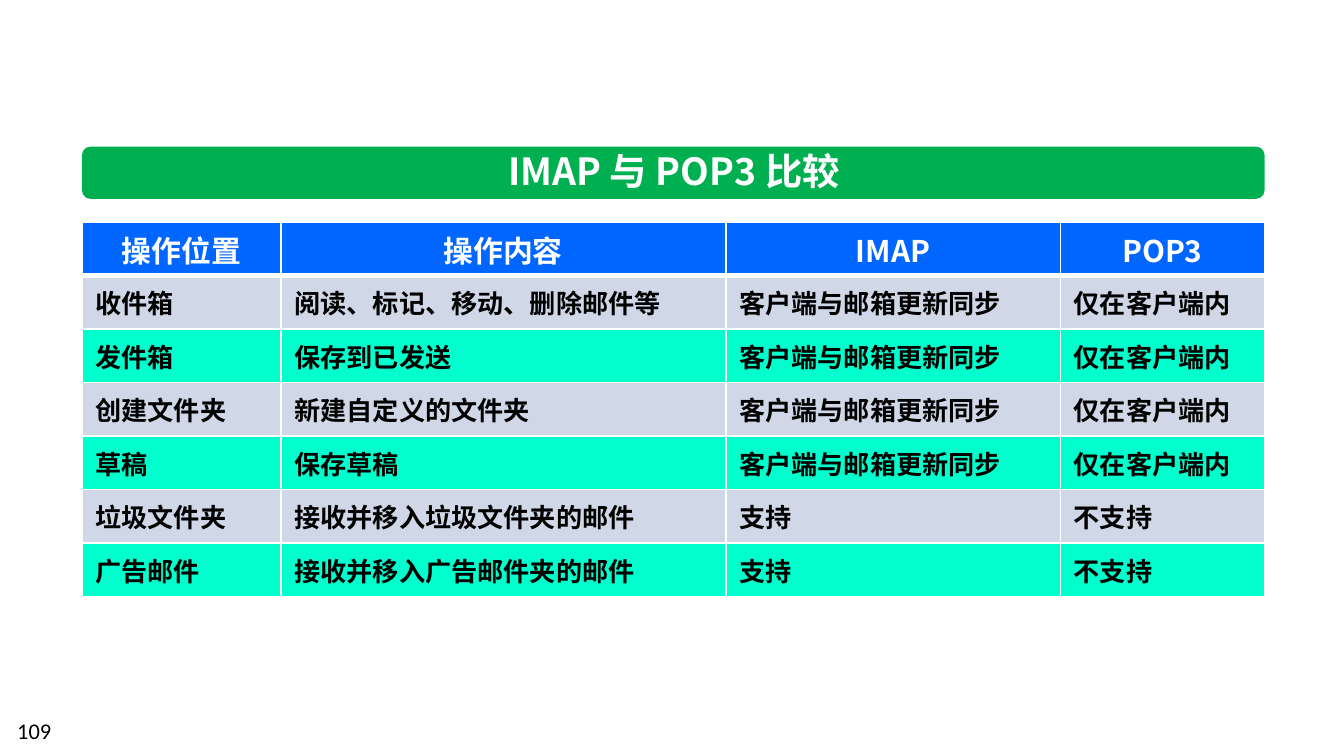
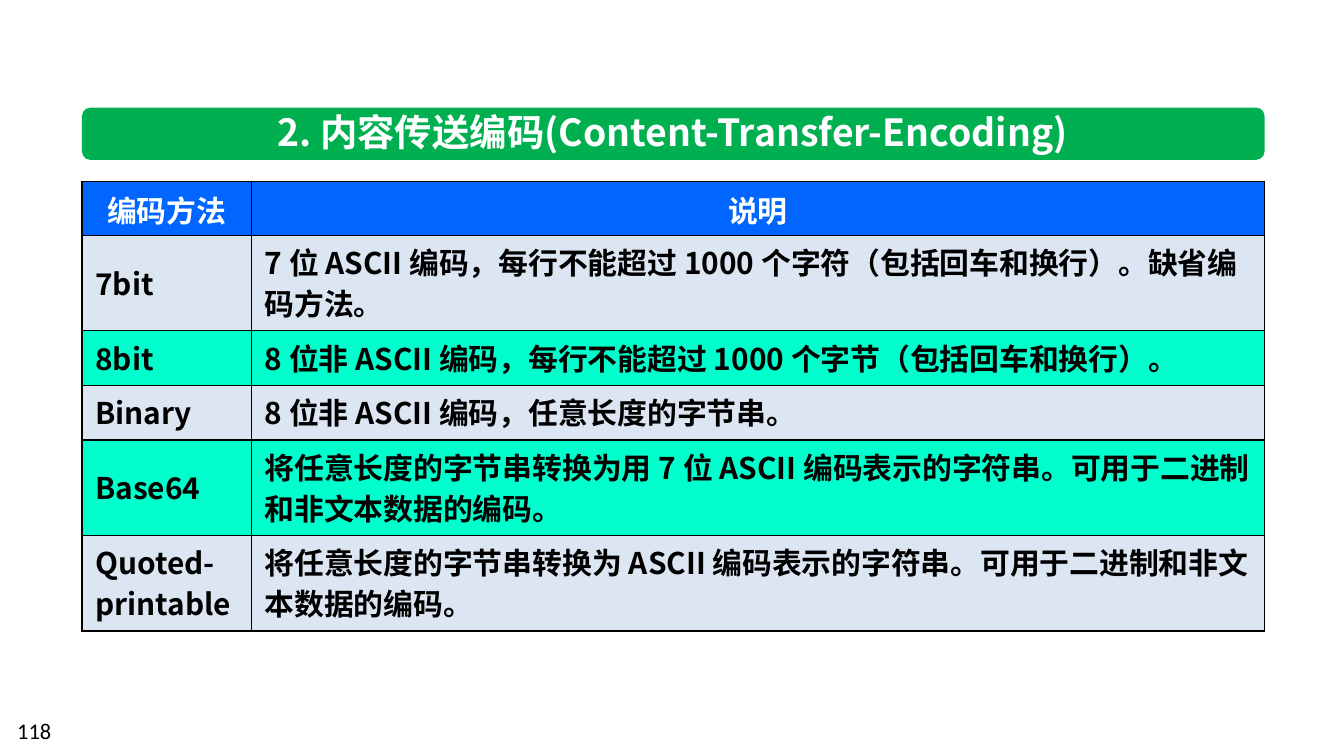
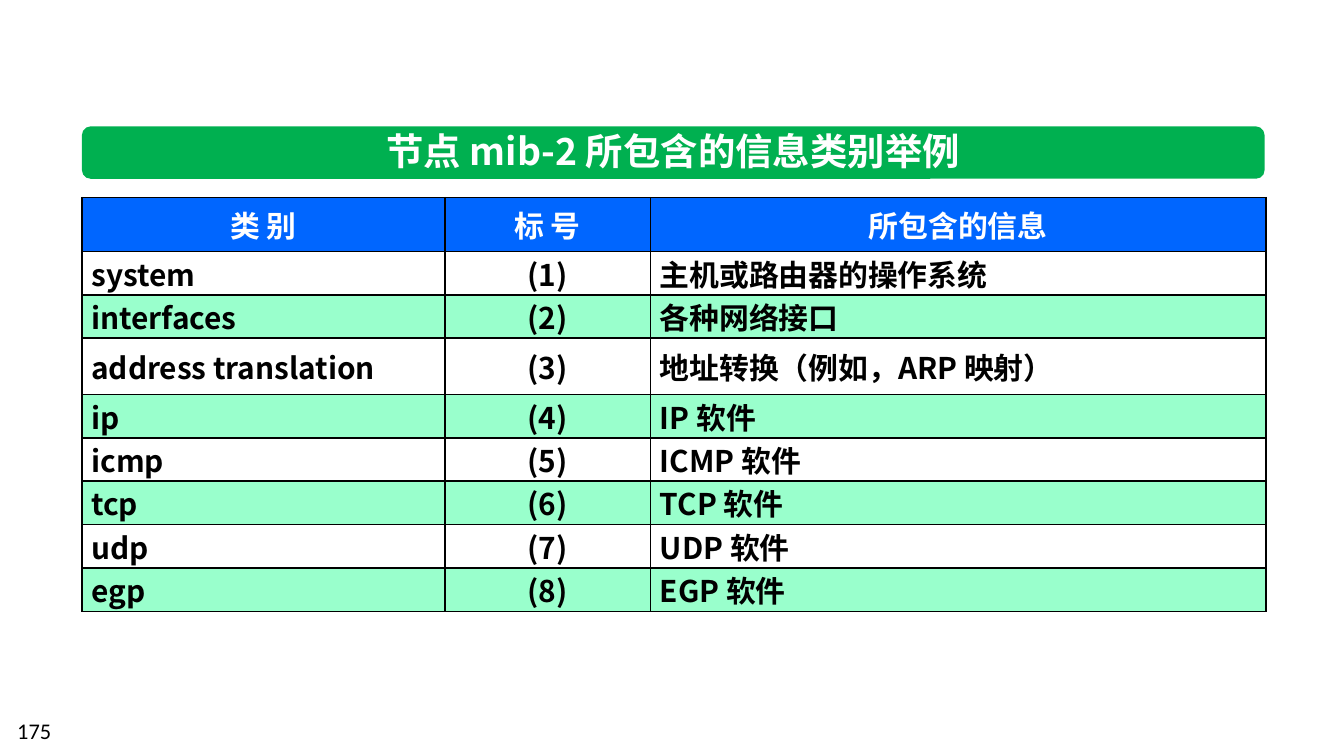
"""Build three slides of network protocol tables under green title bands."""
from lxml import etree
from pptx import Presentation
from pptx.dml.color import RGBColor
from pptx.enum.shapes import MSO_SHAPE
from pptx.enum.text import MSO_ANCHOR, MSO_AUTO_SIZE, PP_ALIGN
from pptx.oxml.ns import qn
from pptx.util import Inches, Pt

CJK = "Noto Sans CJK SC"
WHITE, BLACK = "FFFFFF", "000000"
GREEN, BLUE, MINT = "00B050", "0066FF", "00FFCC"
LEFT, WIDTH = 0.61, 8.8
LEFT_AL, CENTER, JUSTIFY = PP_ALIGN.LEFT, PP_ALIGN.CENTER, PP_ALIGN.JUSTIFY
SYNC, LOCAL = "客户端与邮箱更新同步", "仅在客户端内"
MIB_ROW = (3.08 - 0.4 - 0.42) / 7

SLIDES = [
    dict(
        number="109", title="IMAP 与 POP3 比较", band_top=1.09, title_at=(3.59, 2.85),
        table_top=1.65, cols=[1.48, 3.31, 2.49, 1.52], heights=[2.79 / 7] * 7,
        fills=["D0D8E8", MINT], aligns=[LEFT_AL] * 4, size=14, spacing=None, margins=(0.1, 0.05),
        line=WHITE, outer=1, inner=1, under_header=3,
        rows=[
            ["操作位置", "操作内容", "IMAP", "POP3"],
            ["收件箱", "阅读、标记、移动、删除邮件等", SYNC, LOCAL],
            ["发件箱", "保存到已发送", SYNC, LOCAL],
            ["创建文件夹", "新建自定义的文件夹", SYNC, LOCAL],
            ["草稿", "保存草稿", SYNC, LOCAL],
            ["垃圾文件夹", "接收并移入垃圾文件夹的邮件", "支持", "不支持"],
            ["广告邮件", "接收并移入广告邮件夹的邮件", "支持", "不支持"],
        ],
    ),
    dict(
        number="118", title="2. 内容传送编码(Content-Transfer-Encoding)", band_top=0.8,
        title_at=(1.8, 6.41), table_top=1.35, cols=[1.26, 7.54],
        heights=[0.4, 0.71, 0.4, 0.4, 0.71, 0.71],
        fills=["DCE6F2", MINT], aligns=[LEFT_AL] * 2, size=16, spacing=22, margins=(0.1, 0.05),
        line=BLACK, outer=1, inner=0.75, under_header=0.75,
        rows=[
            ["编码方法", "说明"],
            ["7bit", "7 位 ASCII 编码，每行不能超过 1000 个字符（包括回车和换行）。缺省编码方法。"],
            ["8bit", "8 位非 ASCII 编码，每行不能超过 1000 个字节（包括回车和换行）。"],
            ["Binary", "8 位非 ASCII 编码，任意长度的字节串。"],
            ["Base64", "将任意长度的字节串转换为用 7 位 ASCII 编码表示的字符串。可用于二进制和非文本数据的编码。"],
            ["Quoted-printable", "将任意长度的字节串转换为 ASCII 编码表示的字符串。可用于二进制和非文本数据的编码。"],
        ],
    ),
    dict(
        number="175", title="节点 mib-2 所包含的信息类别举例", band_top=0.94, title_at=(2.72, 4.58),
        table_top=1.47, cols=[2.7, 1.53, 4.58],
        heights=[0.4, MIB_ROW, MIB_ROW, 0.42] + [MIB_ROW] * 5,
        fills=[None, "99FFCC"], aligns=[JUSTIFY, CENTER, JUSTIFY], size=16, spacing=None,
        margins=(0.07, 0), line=BLACK, outer=1, inner=1, under_header=1,
        rows=[
            ["类 别", "标 号", "所包含的信息"],
            ["system", "(1)", "主机或路由器的操作系统"],
            ["interfaces", "(2)", "各种网络接口"],
            ["address translation", "(3)", "地址转换（例如，ARP 映射）"],
            ["ip", "(4)", "IP 软件"],
            ["icmp", "(5)", "ICMP 软件"],
            ["tcp", "(6)", "TCP 软件"],
            ["udp", "(7)", "UDP 软件"],
            ["egp", "(8)", "EGP 软件"],
        ],
    ),
]


def rgb(color):
    return RGBColor.from_string(color)


def style(p, size, color, align=LEFT_AL, name=CJK, bold=True):
    p.alignment = align
    for r in p.runs:
        f = r.font
        f.size, f.bold, f.name = Pt(size), bold, name
        f.color.rgb = rgb(color)
        etree.SubElement(f._element, qn("a:ea"), typeface=name)


prs = Presentation()
prs.slide_width = Inches(10)
prs.slide_height = prs.slide_width * 9 // 16

for d in SLIDES:
    s = prs.slides.add_slide(prs.slide_layouts[5])
    band = s.shapes.add_shape(MSO_SHAPE.ROUNDED_RECTANGLE, Inches(LEFT), Inches(d["band_top"]),
                              Inches(WIDTH), Inches(0.39))
    band.shadow.inherit = False
    band.fill.solid()
    band.fill.fore_color.rgb = rgb(GREEN)
    band.line.fill.background()

    title = s.shapes.title
    band.element.addnext(title.element)
    x, w = d["title_at"]
    title.left, title.top = Inches(x), Inches(d["band_top"] - 0.04)
    title.width, title.height = Inches(w), Inches(0.44)
    tf = title.text_frame
    tf.text = d["title"]
    tf.word_wrap, tf.auto_size = False, MSO_AUTO_SIZE.SHAPE_TO_FIT_TEXT
    tf.vertical_anchor = MSO_ANCHOR.TOP
    tf.margin_left = tf.margin_right = 0
    style(tf.paragraphs[0], 20, WHITE, CENTER)

    rows, cols = d["rows"], d["cols"]
    last_row, last_col = len(rows) - 1, len(cols) - 1
    table = s.shapes.add_table(len(rows), len(cols), Inches(LEFT), Inches(d["table_top"]),
                               Inches(WIDTH), Inches(sum(d["heights"]))).table
    table.horz_banding = False
    for column, w in zip(table.columns, cols):
        column.width = Inches(w)
    for i, row in enumerate(rows):
        table.rows[i].height = Inches(d["heights"][i])
        for j, text in enumerate(row):
            cell = table.cell(i, j)
            cell.vertical_anchor = MSO_ANCHOR.MIDDLE
            cell.margin_left = cell.margin_right = Inches(d["margins"][0])
            cell.margin_top = cell.margin_bottom = Inches(d["margins"][1])
            outer, inner, under = d["outer"], d["inner"], d["under_header"]
            edges = {
                "a:lnL": outer if j == 0 else inner,
                "a:lnR": outer if j == last_col else inner,
                "a:lnT": outer if i == 0 else under if i == 1 else inner,
                "a:lnB": under if i == 0 else outer if i == last_row else inner,
            }
            for tag, width in edges.items():
                ln = etree.SubElement(cell._tc.get_or_add_tcPr(), qn(tag), w=str(Pt(width)))
                solid = etree.SubElement(ln, qn("a:solidFill"))
                etree.SubElement(solid, qn("a:srgbClr"), val=d["line"])
            fill = d["fills"][(i - 1) % 2] if i else BLUE
            if fill:
                cell.fill.solid()
                cell.fill.fore_color.rgb = rgb(fill)
            else:
                cell.fill.background()
            p = cell.text_frame.paragraphs[0]
            p.text = text
            if i == 0:
                style(p, 16, WHITE, CENTER)
            else:
                style(p, d["size"], BLACK, d["aligns"][j])
                if d["spacing"]:
                    p.line_spacing = Pt(d["spacing"])

    number = s.shapes.add_textbox(Inches(0.03), Inches(5.29), Inches(2.33), Inches(0.3))
    tf = number.text_frame
    tf.word_wrap = True
    tf.text = d["number"]
    style(tf.paragraphs[0], 12, BLACK, name="Calibri", bold=False)

prs.save("out.pptx")
